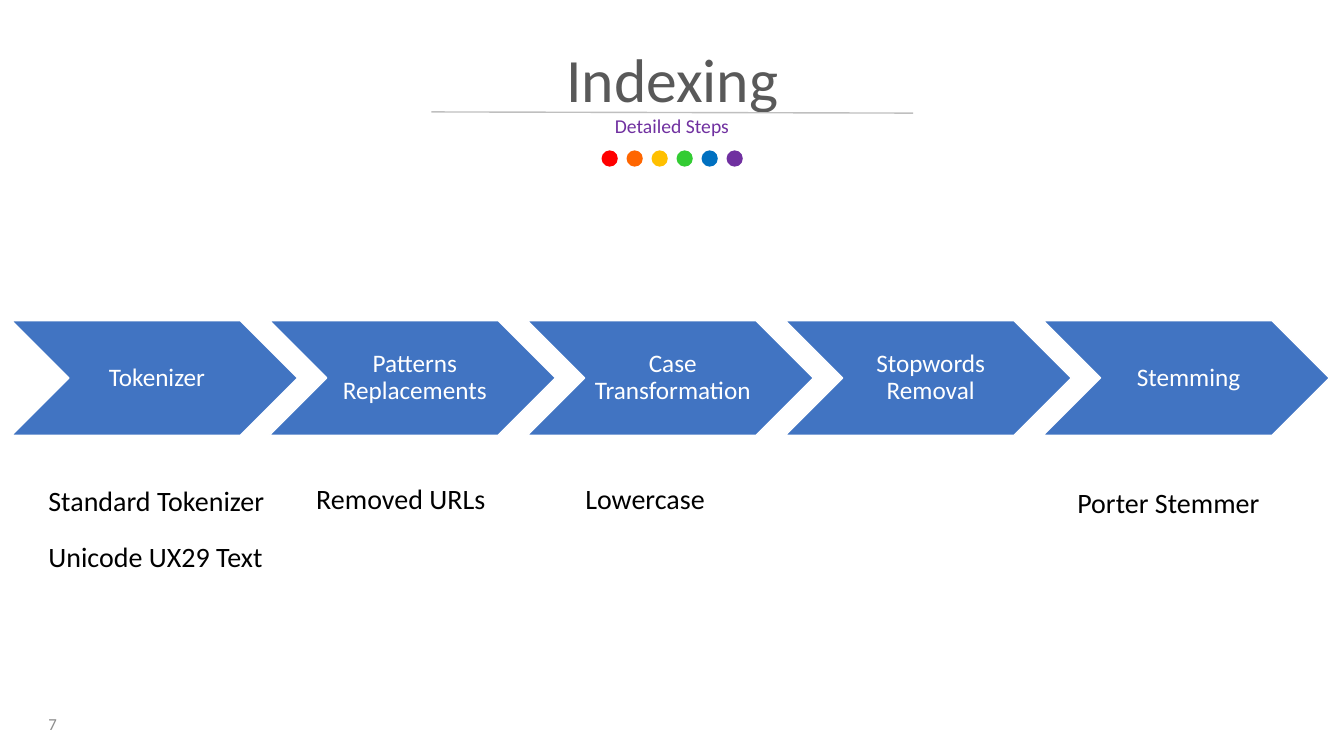
from pptx import Presentation
from pptx.dml.color import RGBColor
from pptx.enum.shapes import MSO_CONNECTOR as Connector, MSO_SHAPE as Shape
from pptx.enum.text import MSO_ANCHOR as Anchor, MSO_AUTO_SIZE as AutoSize, PP_ALIGN as Align
from pptx.oxml.ns import qn
from pptx.util import Cm, Pt


def color(value):
    return RGBColor.from_string(value)


class Painter:
    """Draws styled elements on the current page, with lengths in centimetres."""

    font = "Calibri"

    def __init__(self, page):
        self.page = page

    def place(self, item, left, top, width, height):
        bounds = {"left": left, "top": top, "width": width, "height": height}
        for name, value in bounds.items():
            setattr(item, name, Cm(value))

    def label(self, item, words, size, tint, align=Align.LEFT, anchor=Anchor.TOP,
              spacing=1.0, insets=(0.25, 0.13, 0.25, 0.13)):
        frame = item.text_frame
        sides = ("margin_left", "margin_top", "margin_right", "margin_bottom")
        layout = {"word_wrap": True, "auto_size": AutoSize.NONE, "vertical_anchor": anchor}
        layout.update(zip(sides, map(Cm, insets)))
        for name, value in layout.items():
            setattr(frame, name, value)
        para = frame.paragraphs[0]
        for name, value in {"alignment": align, "line_spacing": spacing}.items():
            setattr(para, name, value)
        span = para.add_run()
        span.text = words
        for name, value in {"name": self.font, "size": Pt(size), "bold": False}.items():
            setattr(span.font, name, value)
        span.font.color.rgb = color(tint)

    def title(self, words, bounds, **style):
        item = self.page.shapes.title
        self.place(item, *bounds)
        self.label(item, words, **style)

    def text(self, words, bounds, **style):
        item = self.page.shapes.add_textbox(*map(Cm, bounds))
        self.label(item, words, **style)

    def shape(self, kind, bounds, fill, outline=None):
        item = self.page.shapes.add_shape(kind, *map(Cm, bounds))
        item.shadow.inherit = False
        item.fill.solid()
        item.fill.fore_color.rgb = color(fill)
        if outline:
            item.line.color.rgb = color(outline)
            item.line.width = Pt(1)
        else:
            item.line.fill.background()
        return item

    def line(self, ends, tint):
        item = self.page.shapes.add_connector(Connector.STRAIGHT, *map(Cm, ends))
        item.line.color.rgb = color(tint)
        item.line.width = Pt(1)
        properties = item._element.spPr
        properties.append(properties.makeelement(qn("a:effectLst"), {}))


def main():
    deck = Presentation()
    deck.slide_width, deck.slide_height = Cm(33.87), Cm(19.05)
    painter = Painter(deck.slides.add_slide(deck.slide_layouts[5]))

    dots = ["FF0000", "FF6600", "FFC000", "33CC33", "0070C0", "7030A0"]
    for index, tint in enumerate(dots):
        painter.shape(Shape.OVAL, (15.16 + 0.63 * index, 3.79, 0.41, 0.41), tint)
    painter.line((23.01, 2.85, 10.87, 2.82), "BFBFBF")

    painter.title("Indexing", (2.34, 0.97, 29.21, 2.08), size=44, tint="595959",
                  align=Align.CENTER, anchor=Anchor.BOTTOM, spacing=0.9)
    painter.text("Detailed Steps", (10.57, 2.82, 12.73, 0.84), size=14, tint="7030A0",
                 align=Align.CENTER, spacing=0.9)
    painter.text("7", (0.97, 17.73, 7.62, 1.02), size=12, tint="8C8C8C", anchor=Anchor.MIDDLE)

    steps = ["Tokenizer", "Patterns Replacements", "Case Transformation",
             "Stopwords Removal", "Stemming"]
    for index, step in enumerate(steps):
        chevron = painter.shape(Shape.CHEVRON, (0.29 + 6.5 * index, 8.08, 7.21, 2.89),
                                "4174C2", "FFFFFF")
        painter.label(chevron, step, 18, "FFFFFF", Align.CENTER, Anchor.MIDDLE, 0.9,
                      (0.2, 0.08, 0.08, 0.08))

    notes = [
        ("Standard Tokenizer", 0.97, 11.63, 6.1),
        ("Unicode UX29 Text", 0.97, 13.03, 6.1),
        ("Removed URLs", 7.72, 11.59, 5.2),
        ("Lowercase", 14.5, 11.59, 5.2),
        ("Porter Stemmer", 26.9, 11.67, 5.2),
    ]
    for words, left, top, width in notes:
        painter.text(words, (left, top, width, 1.4), size=20, tint="000000", spacing=1.5)

    deck.save("out.pptx")


if __name__ == "__main__":
    main()
